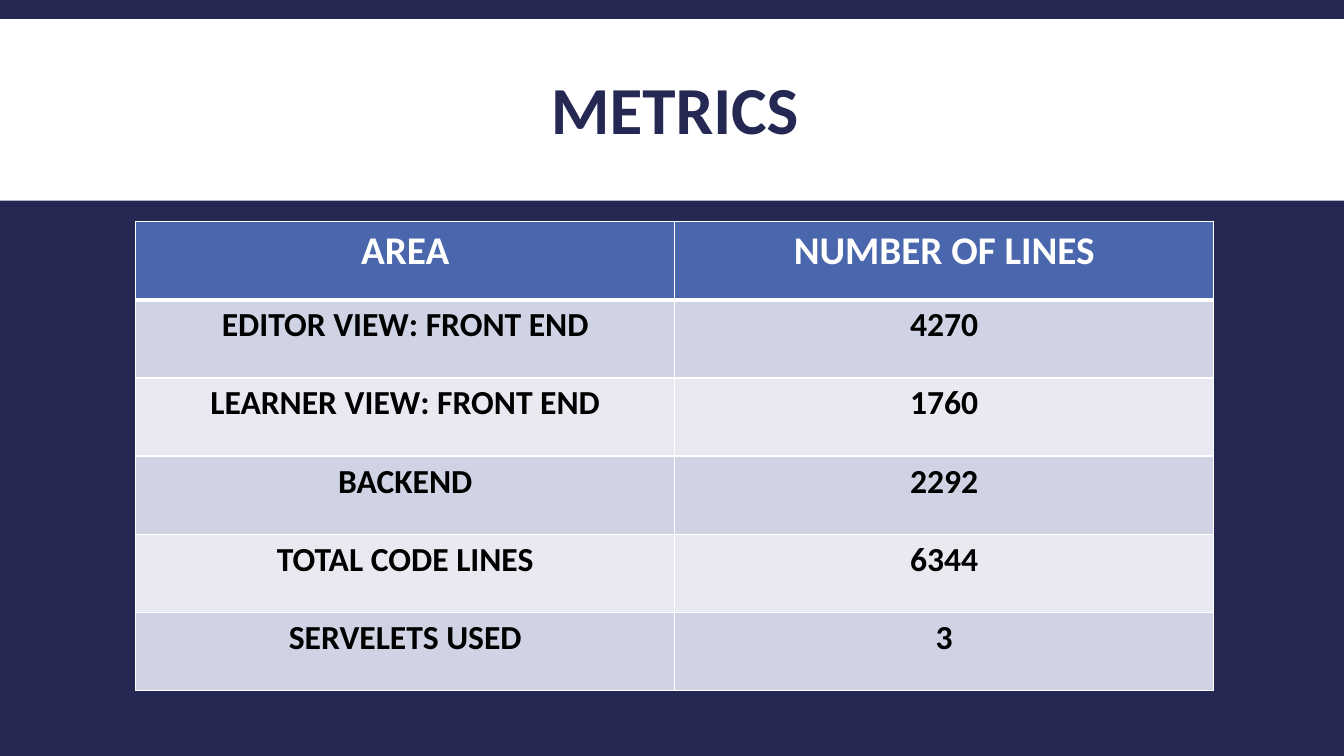
from lxml.etree import SubElement
from pptx import Presentation
from pptx.dml.color import RGBColor
from pptx.enum.shapes import MSO_SHAPE
from pptx.enum.text import MSO_ANCHOR, PP_ALIGN
from pptx.oxml.ns import qn
from pptx.util import Pt

NAVY, BLUE, WHITE, BLACK = "242852", "4A66AC", "FFFFFF", "000000"
ROW_BANDS = ("D0D3E3", "E9EAF1")

METRICS = [
    ("AREA", "NUMBER OF LINES"),
    ("EDITOR VIEW: FRONT END", "4270"),
    ("LEARNER VIEW: FRONT END", "1760"),
    ("BACKEND", "2292"),
    ("TOTAL CODE LINES", "6344"),
    ("SERVELETS USED", "3"),
]


def rgb(color):
    return RGBColor.from_string(color)


class SlideBuilder:
    font = "Calibri"

    def __init__(self, slide, background):
        self.slide = slide
        slide.background.fill.solid()
        slide.background.fill.fore_color.rgb = rgb(background)

    def centred_line(self, frame, text, size, color):
        """Put one centred bold line into a text frame."""
        frame.text = text
        line = frame.paragraphs[0]
        line.alignment = PP_ALIGN.CENTER
        font = line.runs[0].font
        font.name, font.size, font.bold = self.font, Pt(size), True
        font.color.rgb = rgb(color)
        return line

    def band(self, left, top, width, height, color):
        band = self.slide.shapes.add_shape(
            MSO_SHAPE.RECTANGLE, Pt(left), Pt(top), Pt(width), Pt(height))
        band.shadow.inherit = False
        band.fill.solid()
        band.fill.fore_color.rgb = rgb(color)
        band.line.fill.background()

    def title(self, text, left, top, width, height, size, color):
        frame = self.slide.shapes.add_textbox(
            Pt(left), Pt(top), Pt(width), Pt(height)).text_frame
        frame.word_wrap = True
        frame.vertical_anchor = MSO_ANCHOR.MIDDLE
        self.centred_line(frame, text, size, color).line_spacing = 0.85

    def borders(self, cell, color, widths):
        """Draw cell borders; widths maps a side (L, R, T, B) to points."""
        properties = cell._tc.get_or_add_tcPr()
        for side, width in widths.items():
            border = SubElement(properties, qn(f"a:ln{side}"), w=str(Pt(width)))
            fill = SubElement(border, qn("a:solidFill"))
            SubElement(fill, qn("a:srgbClr"), val=color)

    def table(self, rows, left, top, width, height):
        table = self.slide.shapes.add_table(
            len(rows), len(rows[0]), Pt(left), Pt(top), Pt(width), Pt(height)).table
        for r, row in enumerate(rows):
            header = r == 0
            fill = BLUE if header else ROW_BANDS[(r - 1) % 2]
            widths = {"L": 1, "R": 1, "T": 3 if r == 1 else 1, "B": 3 if header else 1}
            for c, text in enumerate(row):
                cell = table.cell(r, c)
                self.borders(cell, WHITE, widths)
                cell.fill.solid()
                cell.fill.fore_color.rgb = rgb(fill)
                self.centred_line(cell.text_frame, text, 28 if header else 24,
                                  WHITE if header else BLACK)


def main():
    deck = Presentation()
    deck.slide_width, deck.slide_height = Pt(960), Pt(540)
    builder = SlideBuilder(deck.slides.add_slide(deck.slide_layouts[6]), NAVY)
    builder.band(0, 13.7, 960, 129.6, WHITE)
    builder.title("METRICS", 97, 22.3, 770, 118.8, 48, NAVY)
    builder.table(METRICS, 97, 158.4, 770, 334.8)
    deck.save("out.pptx")


if __name__ == "__main__":
    main()
